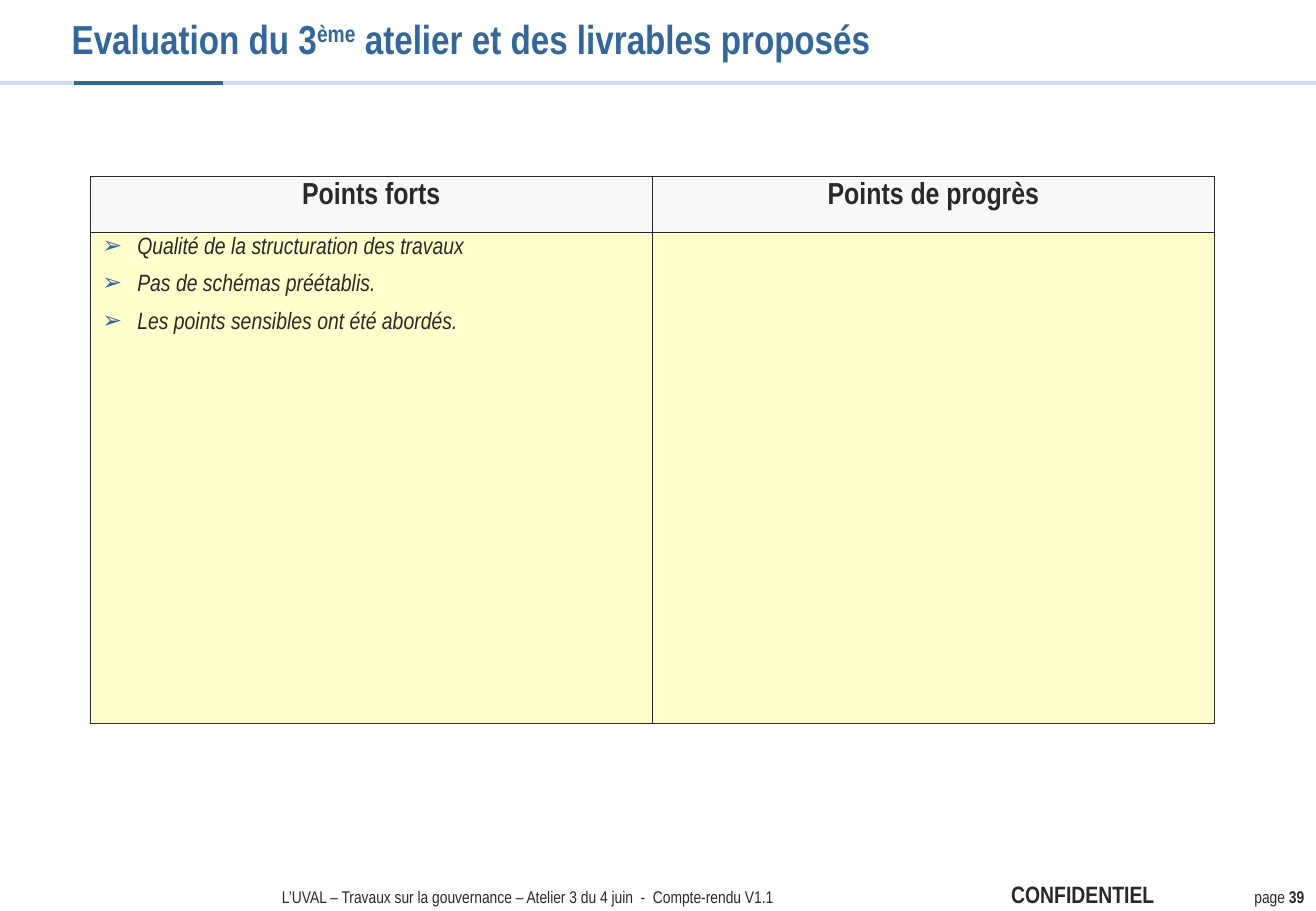
from dataclasses import dataclass

from lxml.etree import SubElement
from pptx import Presentation
from pptx.dml.color import RGBColor
from pptx.enum.shapes import MSO_CONNECTOR
from pptx.enum.text import MSO_ANCHOR, PP_ALIGN
from pptx.oxml.ns import qn
from pptx.slide import Slide
from pptx.table import _Cell
from pptx.text.text import TextFrame, _Paragraph
from pptx.util import Pt


@dataclass(frozen=True)
class Theme:
    font: str = "Arial Narrow"
    ink: str = "292929"
    accent: str = "336699"
    pale_rule: str = "CEDEF4"
    header_fill: str = "F8F8F8"
    body_fill: str = "FFFFCC"
    title_size: float = 24
    header_size: float = 18
    body_size: float = 14
    stamp_size: float = 14
    footer_size: float = 10


@dataclass(frozen=True)
class Rule:
    start: float
    end: float
    color: str


@dataclass(frozen=True)
class Span:
    text: str
    size: float
    color: str = "292929"
    bold: bool = False
    raised: bool = False


@dataclass(frozen=True)
class Label:
    spans: tuple[Span, ...]
    left: float
    top: float
    width: float
    height: float
    inset_left: float
    inset_top: float = 0
    line_spacing: float = 1.0
    tab_stops: tuple[float, ...] = ()


@dataclass(frozen=True)
class Column:
    heading: str
    points: tuple[str, ...] = ()


THEME = Theme()
SLIDE_WIDTH, SLIDE_HEIGHT = 780.25, 540
RULE_TOP = 49.2
RULES = (
    Rule(0, 780, THEME.pale_rule),
    Rule(44, 132.5, THEME.accent),
)
TITLE = Label(
    (
        Span("Evaluation du 3", THEME.title_size, THEME.accent, bold=True),
        Span("ème", THEME.title_size, THEME.accent, bold=True, raised=True),
        Span(" atelier et des livrables proposés", THEME.title_size, THEME.accent, bold=True),
    ),
    0, 1, 780, 44, inset_left=42.5, inset_top=2.9, line_spacing=0.9,
)
FOOTER = Label(
    (
        Span("L’UVAL – Travaux sur la gouvernance – Atelier 3 du 4 juin  -  Compte-rendu V1.1\t",
             THEME.footer_size),
        Span("CONFIDENTIEL", THEME.stamp_size, bold=True),
        Span("\tpage ", THEME.footer_size),
        Span("39", THEME.footer_size, bold=True),
    ),
    98, 519.8, 682, 20.2, inset_left=69.2, tab_stops=(432.3, 576.5),
)
TABLE_LEFT, TABLE_TOP = 53.5, 104.5
COLUMN_WIDTH = 333.3
HEADER_HEIGHT, BODY_HEIGHT = 33.2, 291.3
BORDER_WIDTH = 0.45
BULLET_INDENT = 20.7
POINT_GAP = 5.2
HEADING_GAP = 9
COLUMNS = (
    Column(
        "Points forts",
        (
            "Qualité de la structuration des travaux",
            "Pas de schémas préétablis.",
            "Les points sensibles ont été abordés.",
        ),
    ),
    Column("Points de progrès"),
)


def write(
    paragraph: _Paragraph,
    text: str,
    *,
    size: float,
    color: str = THEME.ink,
    bold: bool = False,
    italic: bool = False,
    raised: bool = False,
) -> None:
    run = paragraph.add_run()
    run.text = text
    font = run.font
    font.name = THEME.font
    font.size = Pt(size)
    font.bold = bold
    font.italic = italic
    font.color.rgb = RGBColor.from_string(color)
    if raised:
        run._r.get_or_add_rPr().set("baseline", "30000")


def draw_rule(slide: Slide, rule: Rule) -> None:
    connector = slide.shapes.add_connector(
        MSO_CONNECTOR.STRAIGHT, Pt(rule.start), Pt(RULE_TOP), Pt(rule.end), Pt(RULE_TOP)
    )
    connector.line.color.rgb = RGBColor.from_string(rule.color)
    connector.line.width = Pt(2)
    SubElement(connector._element.spPr, qn("a:effectLst"))


def draw_label(slide: Slide, label: Label) -> None:
    frame = slide.shapes.add_textbox(
        Pt(label.left), Pt(label.top), Pt(label.width), Pt(label.height)
    ).text_frame
    frame.word_wrap = True
    frame.vertical_anchor = MSO_ANCHOR.MIDDLE
    frame.margin_left = Pt(label.inset_left)
    frame.margin_top = Pt(label.inset_top)
    frame.margin_right = frame.margin_bottom = 0
    paragraph = frame.paragraphs[0]
    paragraph.line_spacing = label.line_spacing
    if label.tab_stops:
        stops = SubElement(paragraph._p.get_or_add_pPr(), qn("a:tabLst"))
        for stop in label.tab_stops:
            SubElement(stops, qn("a:tab"), pos=str(Pt(stop)), algn="l")
    for span in label.spans:
        write(paragraph, span.text, size=span.size, color=span.color,
              bold=span.bold, raised=span.raised)


def style_cell(cell: _Cell, fill: str) -> None:
    properties = cell._tc.get_or_add_tcPr()
    for side in ("a:lnL", "a:lnR", "a:lnT", "a:lnB"):
        border = SubElement(properties, qn(side), w=str(Pt(BORDER_WIDTH)))
        SubElement(SubElement(border, qn("a:solidFill")), qn("a:srgbClr"), val=THEME.ink)
    cell.fill.solid()
    cell.fill.fore_color.rgb = RGBColor.from_string(fill)


def write_points(frame: TextFrame, points: tuple[str, ...]) -> None:
    for index, point in enumerate(points):
        paragraph = frame.add_paragraph() if index else frame.paragraphs[0]
        paragraph.line_spacing = 0.9
        paragraph.space_before = paragraph.space_after = Pt(POINT_GAP)
        properties = paragraph._p.get_or_add_pPr()
        properties.set("marL", str(Pt(BULLET_INDENT)))
        properties.set("indent", str(-Pt(BULLET_INDENT)))
        SubElement(SubElement(properties, qn("a:buClr")), qn("a:srgbClr"), val=THEME.accent)
        SubElement(properties, qn("a:buFont"), typeface=THEME.font)
        SubElement(properties, qn("a:buChar"), char="➢")
        write(paragraph, point, size=THEME.body_size, italic=True)


def draw_table(slide: Slide) -> None:
    table = slide.shapes.add_table(
        2, len(COLUMNS), Pt(TABLE_LEFT), Pt(TABLE_TOP),
        Pt(COLUMN_WIDTH * len(COLUMNS)), Pt(HEADER_HEIGHT + BODY_HEIGHT),
    ).table
    table.horz_banding = False
    table.rows[0].height = Pt(HEADER_HEIGHT)
    table.rows[1].height = Pt(BODY_HEIGHT)
    for index, column in enumerate(COLUMNS):
        table.columns[index].width = Pt(COLUMN_WIDTH)
        header, body = table.cell(0, index), table.cell(1, index)
        style_cell(header, THEME.header_fill)
        style_cell(body, THEME.body_fill)
        heading = header.text_frame.paragraphs[0]
        heading.alignment = PP_ALIGN.CENTER
        heading.space_before = Pt(HEADING_GAP)
        write(heading, column.heading, size=THEME.header_size, bold=True)
        write_points(body.text_frame, column.points)


def main() -> None:
    presentation = Presentation()
    presentation.slide_width = Pt(SLIDE_WIDTH)
    presentation.slide_height = Pt(SLIDE_HEIGHT)
    slide = presentation.slides.add_slide(presentation.slide_layouts[6])
    for rule in RULES:
        draw_rule(slide, rule)
    for label in (TITLE, FOOTER):
        draw_label(slide, label)
    draw_table(slide)
    presentation.save("out.pptx")


if __name__ == "__main__":
    main()
